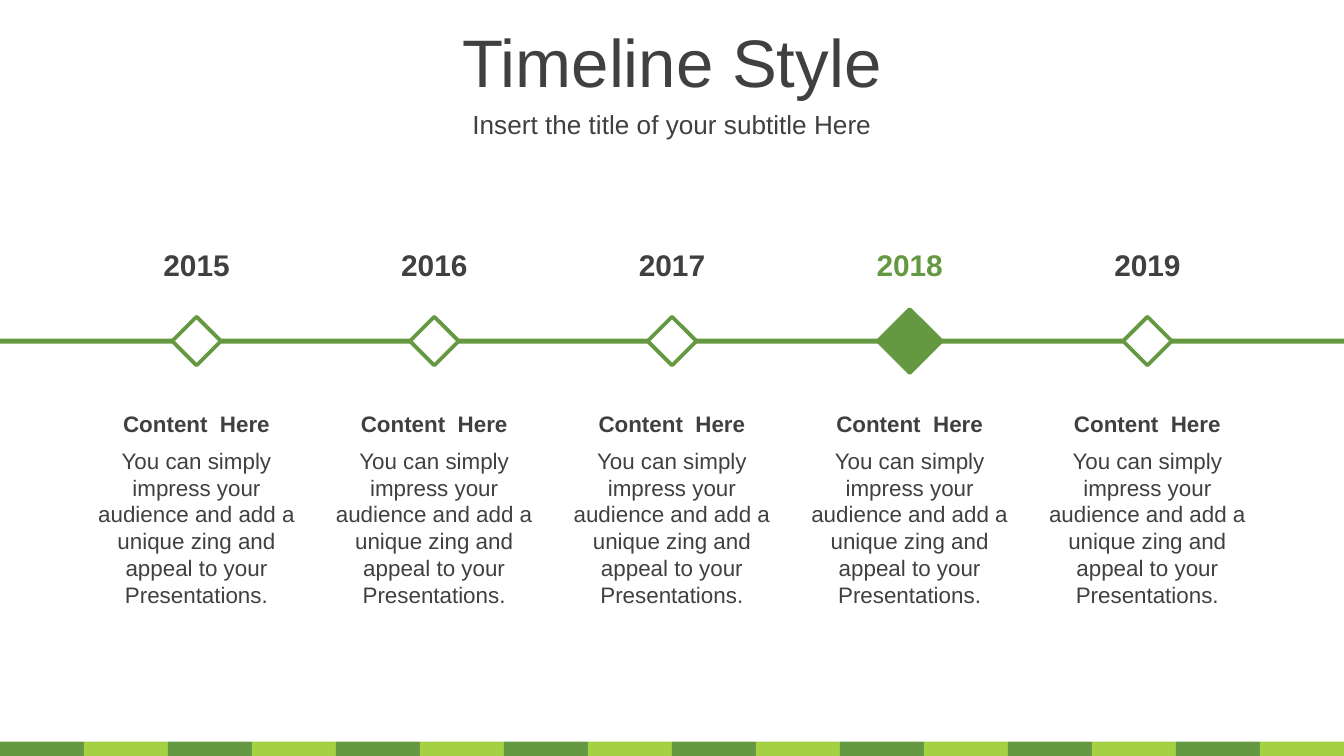
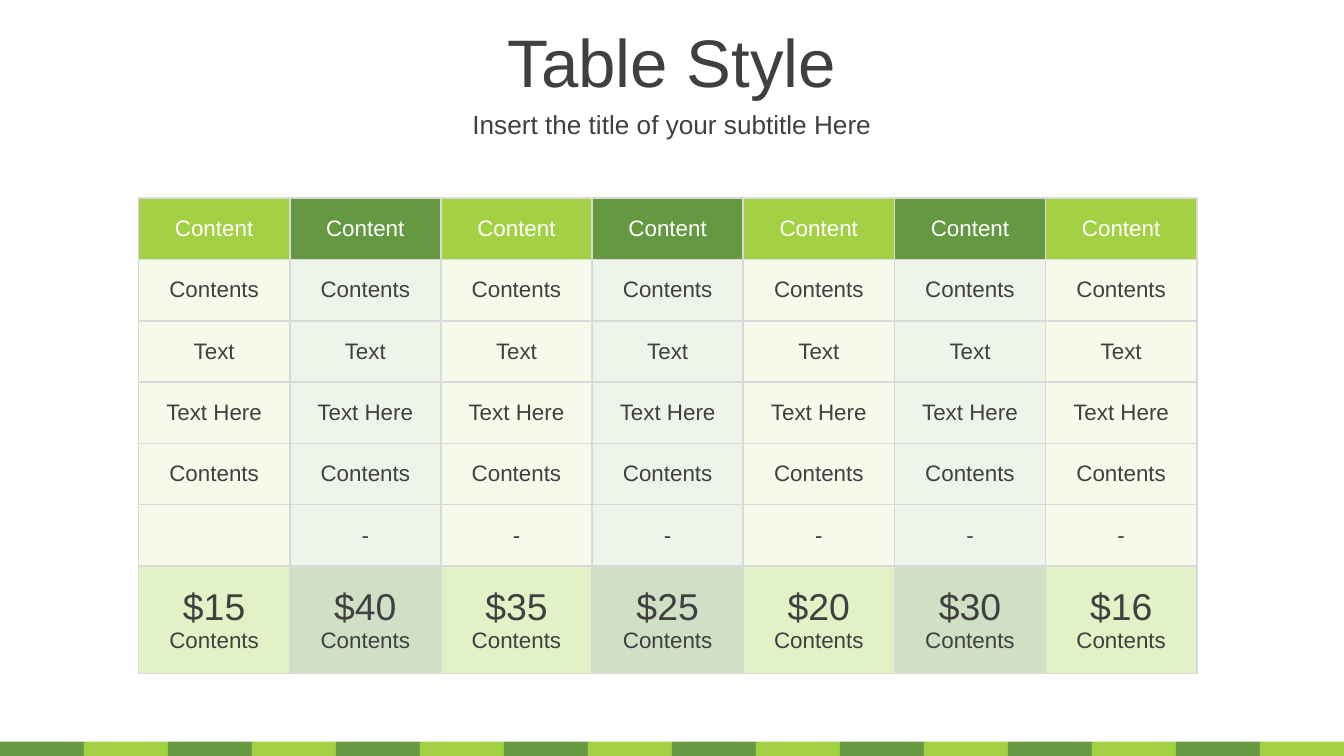
from lxml import etree
from pptx import Presentation
from pptx.dml.color import RGBColor
from pptx.enum.shapes import MSO_SHAPE
from pptx.enum.text import MSO_ANCHOR, MSO_AUTO_SIZE, PP_ALIGN
from pptx.oxml.ns import qn
from pptx.util import Pt

RECT, DIAMOND = MSO_SHAPE.RECTANGLE, MSO_SHAPE.DIAMOND
MIDDLE, CENTER, NO_FIT = MSO_ANCHOR.MIDDLE, PP_ALIGN.CENTER, MSO_AUTO_SIZE.NONE

PX = 5715  # EMU per px, 160 px to the inch
W, H = 1600, 900
FONT = "Arial"
COLORS = {"green": "649941", "lime": "A4D144", "text": "404040",
          "white": "FFFFFF", "border": "D9D9D9"}
STRIPES = ["green", "lime"]


def add_shape(s, kind, x, y, w, h, fill, line=None):
    sp = s.shapes.add_shape(kind, x * PX, y * PX, w * PX, h * PX)
    sp.shadow.inherit = False
    sp.fill.solid()
    sp.fill.fore_color.rgb = RGBColor.from_string(COLORS[fill])
    if line:
        sp.line.color.rgb = RGBColor.from_string(COLORS[line])
        sp.line.width = Pt(2)
    else:
        sp.line.fill.background()
    return sp


def write(tf, *lines, color="text", bold=False):
    """Fill a text frame with centred (text, size) paragraphs."""
    tf.word_wrap = True
    for i, (text, size) in enumerate(lines):
        p = tf.paragraphs[0] if i == 0 else tf.add_paragraph()
        p.alignment, p.space_before = CENTER, Pt(0)
        r = p.add_run()
        r.text = text
        fmt = {"name": FONT, "size": Pt(size), "bold": bold}
        for key, value in fmt.items():
            setattr(r.font, key, value)
        r.font.color.rgb = RGBColor.from_string(COLORS[color])


prs = Presentation()
prs.slide_width, prs.slide_height = W * PX, H * PX
layout = prs.slide_layouts[1]

# Titles and subtitles
slides = []
for title in ["Timeline Style", "Table Style"]:
    s = prs.slides.add_slide(layout)
    slides.append(s)
    heads = [(s.shapes.title, title, 36, 22, 101),
             (s.placeholders[1], "Insert the title of your subtitle Here", 14, 123, 50)]
    for sp, text, size, y, h in heads:
        box = {"left": 0, "top": y * PX, "width": W * PX, "height": h * PX}
        for key, value in box.items():
            setattr(sp, key, value)
        tf = sp.text_frame
        tf.auto_size, tf.vertical_anchor = NO_FIT, MIDDLE
        write(tf, (text, size))
        pPr = tf.paragraphs[0]._p.get_or_add_pPr()
        pPr.set("marL", "0")
        pPr.set("indent", "0")
        etree.SubElement(pPr, qn("a:buNone"))
timeline, pricing = slides

# Footer band, moved into the shared layout
for i in range(16):
    sp = add_shape(timeline, RECT, i * 100, 883, 100, 17, STRIPES[i % 2])
    sp._element.nvSpPr.cNvPr.set("id", str(100 + i))
    layout.shapes._spTree.append(sp._element)

# Timeline: axis, then one column per year
BODY = ("You can simply impress your audience and add a unique zing "
        "and appeal to your Presentations.")
PITCH, AXIS_Y, CURRENT = 283, 406, 2018

add_shape(timeline, RECT, 0, AXIS_Y - 3, W, 6, "green")
for i, year in enumerate(range(2015, 2020)):
    cx = W // 2 + (i - 2) * PITCH
    current = year == CURRENT
    half = 38 if current else 29
    add_shape(timeline, DIAMOND, cx - half, AXIS_Y - half, 2 * half, 2 * half,
              "green" if current else "white", "green")
    texts = [(str(year), 16, True, 286, 116, 59),
             ("Content  Here", 12, True, 480, 274, 48),
             (BODY, 12, False, 523, 270, 210)]
    for text, size, bold, y, w, h in texts:
        sp = timeline.shapes.add_textbox((cx - w // 2) * PX, y * PX, w * PX, h * PX)
        sp.text_frame.vertical_anchor = MIDDLE
        write(sp.text_frame, (text, size), bold=bold,
              color="green" if current and size == 16 else "text")

# Table: rows of equal text, then the prices
PRICES = [15, 40, 35, 25, 20, 30, 16]
COLS = len(PRICES)
rows = [[[(text, 12)]] * COLS
        for text in ["Content", "Contents", "Text", "Text Here", "Contents", "-"]]
rows[5] = [[("", 12)]] + rows[5][1:]
rows.append([[(f"${price}", 20), ("Contents", 12)] for price in PRICES])
heights = [73] * 6 + [128]
alphas = [100] + [10] * 5 + [30]

table = pricing.shapes.add_table(len(rows), COLS, 165 * PX, 236 * PX,
                                 180 * COLS * PX, sum(heights) * PX).table
table.first_row = table.horz_banding = False
for col in table.columns:
    col.width = 180 * PX
for r, row in enumerate(rows):
    table.rows[r].height = heights[r] * PX
    for c, lines in enumerate(row):
        cell = table.cell(r, c)
        cell.vertical_anchor = MIDDLE
        write(cell.text_frame, *lines, color="text" if r else "white")
        cell.fill.solid()
        cell.fill.fore_color.rgb = RGBColor.from_string(COLORS[STRIPES[(c + 1) % 2]])
        tcPr = cell._tc.get_or_add_tcPr()
        if alphas[r] < 100:
            clr = tcPr.find(".//" + qn("a:srgbClr"))
            etree.SubElement(clr, qn("a:alpha")).set("val", str(alphas[r] * 1000))
        for i, side in enumerate(["lnL", "lnR", "lnT", "lnB"]):
            ln = etree.Element(qn("a:" + side), w=str(Pt(1)))
            fill = etree.SubElement(ln, qn("a:solidFill"))
            etree.SubElement(fill, qn("a:srgbClr"), val=COLORS["border"])
            tcPr.insert(i, ln)

prs.save("out.pptx")
